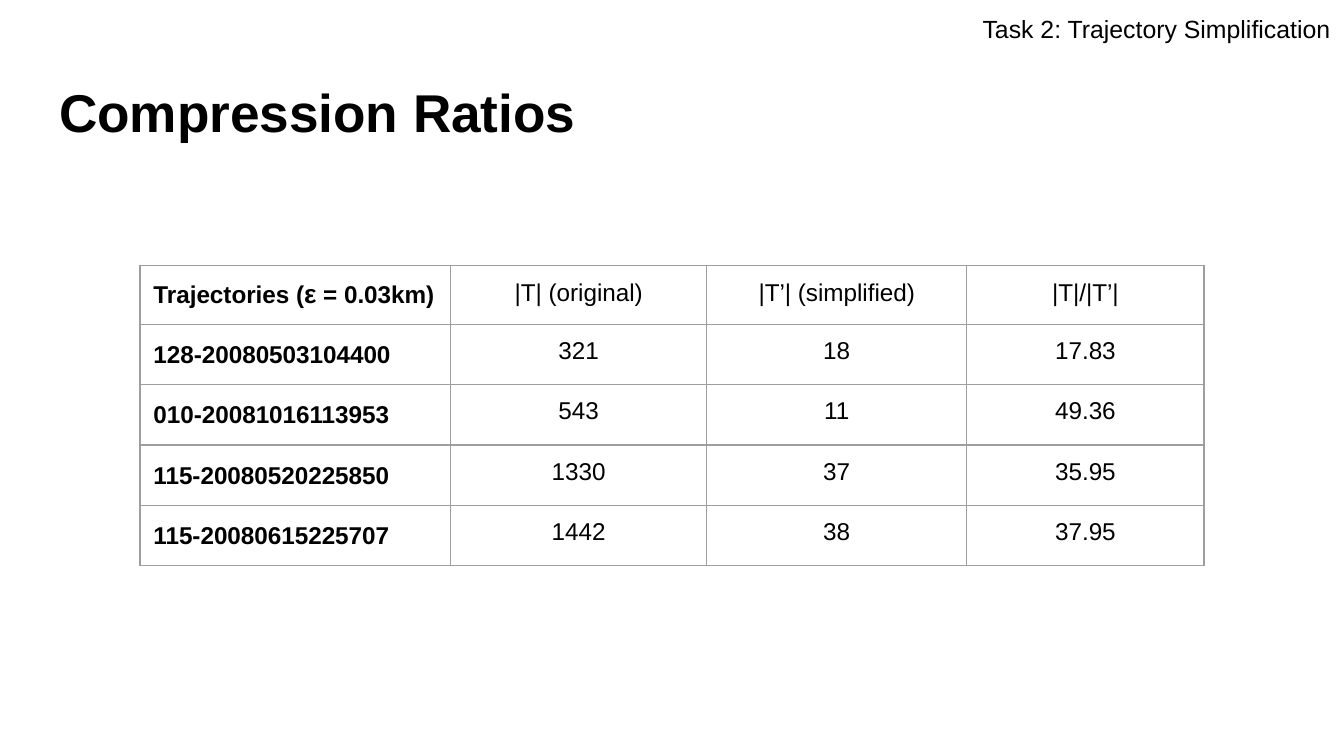
from lxml.etree import SubElement
from pptx import Presentation
from pptx.dml.color import RGBColor
from pptx.enum.text import MSO_ANCHOR, PP_ALIGN
from pptx.oxml.ns import qn
from pptx.util import Pt

BLACK = RGBColor(0x00, 0x00, 0x00)
WHITE = RGBColor(0xFF, 0xFF, 0xFF)
GREY = RGBColor(0x9E, 0x9E, 0x9E)
INSET = Pt(7.2)


def format_text(paragraph, size, bold, alignment):
    paragraph.alignment = alignment
    font = paragraph.font
    font.name, font.size, font.bold = "Arial", Pt(size), bold
    font.color.rgb = BLACK


def set_borders(cell, width, color):
    properties = cell._tc.get_or_add_tcPr()
    for index, side in enumerate(("lnL", "lnR", "lnT", "lnB")):
        line = SubElement(properties, qn(f"a:{side}"), w=str(width))
        fill = SubElement(line, qn("a:solidFill"))
        SubElement(fill, qn("a:srgbClr"), val=str(color))
        properties.insert(index, line)  # borders precede the cell fill


presentation = Presentation()
presentation.slide_width, presentation.slide_height = Pt(720), Pt(405)
slide = presentation.slides.add_slide(presentation.slide_layouts[5])
slide.background.fill.solid()
slide.background.fill.fore_color.rgb = WHITE

# Title and section label
title = slide.shapes.title
title.left, title.top, title.width, title.height = Pt(24.5), Pt(35.3), Pt(671), Pt(45.4)
section = slide.shapes.add_textbox(Pt(278.6), Pt(0), Pt(441.4), Pt(29.5))
for shape, text, size, bold, alignment in (
    (title, "Compression Ratios", 28.5, True, PP_ALIGN.LEFT),
    (section, "Task 2: Trajectory Simplification", 13.3, False, PP_ALIGN.RIGHT),
):
    frame = shape.text_frame
    frame.word_wrap = True
    frame.vertical_anchor = MSO_ANCHOR.TOP
    frame.margin_left = frame.margin_right = INSET
    frame.margin_top = frame.margin_bottom = INSET
    frame.text = text
    format_text(frame.paragraphs[0], size, bold, alignment)

# Compression table
rows = [
    ("Trajectories (ε = 0.03km)", "|T| (original)", "|T’| (simplified)", "|T|/|T’|"),
    ("128-20080503104400", "321", "18", "17.83"),
    ("010-20081016113953", "543", "11", "49.36"),
    ("115-20080520225850", "1330", "37", "35.95"),
    ("115-20080615225707", "1442", "38", "37.95"),
]
column_widths = [166.5, 137, 139.5, 127]
row_height = 30.2
table = slide.shapes.add_table(
    len(rows), len(column_widths), Pt(75), Pt(142.4),
    Pt(sum(column_widths)), Pt(row_height * len(rows)),
).table
table.first_row = table.horz_banding = False
for column, width in zip(table.columns, column_widths):
    column.width = Pt(width)

for row_index, values in enumerate(rows):
    for column_index, value in enumerate(values):
        cell = table.cell(row_index, column_index)
        cell.margin_left = cell.margin_right = INSET
        cell.margin_top = cell.margin_bottom = INSET
        cell.fill.background()
        set_borders(cell, Pt(0.75), GREY)
        is_label = column_index == 0
        paragraph = cell.text_frame.paragraphs[0]
        # The epsilon is set slightly larger than the text around it
        before, epsilon, after = value.partition("ε")
        for part in filter(None, (before, epsilon, after)):
            run = paragraph.add_run()
            run.text = part
            if part == "ε":
                run.font.size = Pt(14)
        format_text(paragraph, 13, is_label, PP_ALIGN.LEFT if is_label else PP_ALIGN.CENTER)
        if is_label and row_index > 0:
            paragraph.line_spacing = 1.15

presentation.save("out.pptx")
